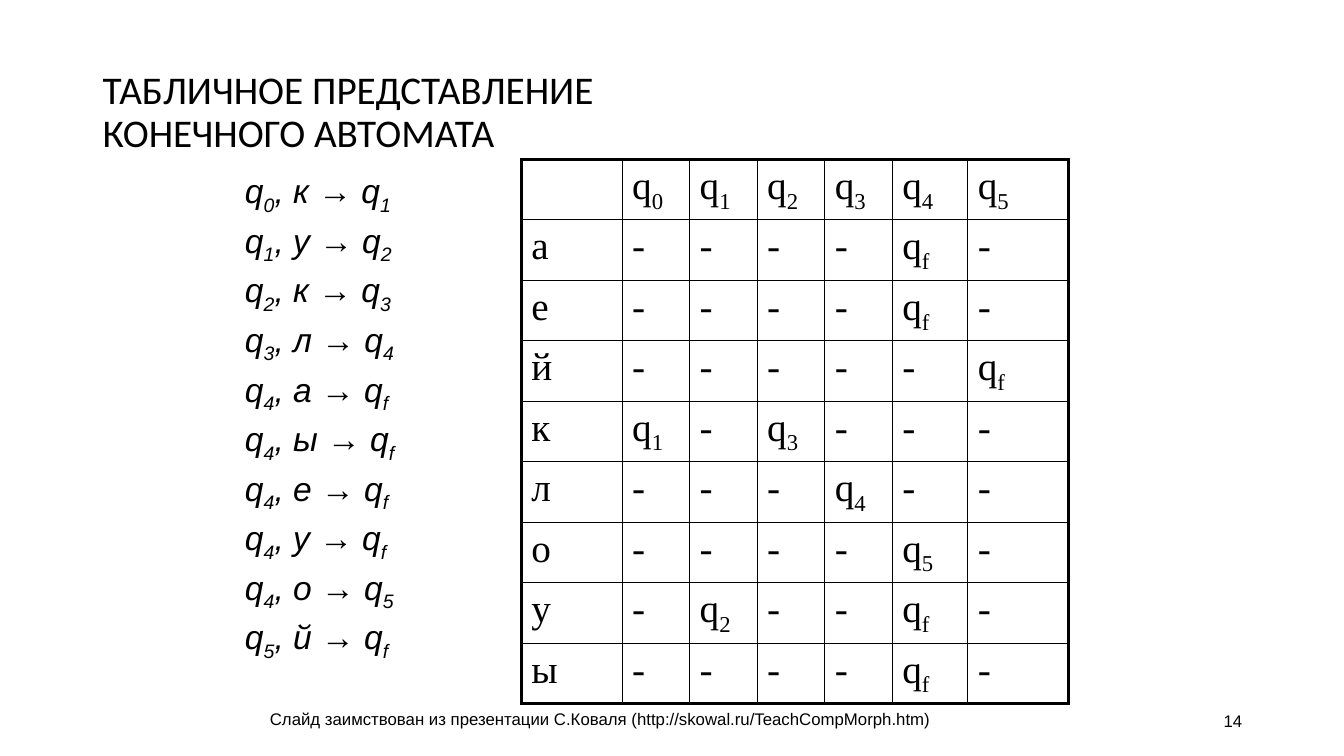
"""Slide with a finite automaton shown as transitions and as a table."""
from lxml import etree
from pptx import Presentation
from pptx.dml.color import RGBColor
from pptx.enum.text import MSO_ANCHOR, PP_ALIGN
from pptx.oxml.ns import qn
from pptx.util import Inches, Pt

LEFT, CENTER, RIGHT = PP_ALIGN.LEFT, PP_ALIGN.CENTER, PP_ALIGN.RIGHT
MIDDLE = MSO_ANCHOR.MIDDLE
BLACK = "000000"
THIN, THICK = 1, 2.25
TRANSITIONS = [
    ("0", "к", "1"), ("1", "у", "2"), ("2", "к", "3"), ("3", "л", "4"),
    ("4", "а", "f"), ("4", "ы", "f"), ("4", "е", "f"), ("4", "у", "f"),
    ("4", "о", "5"), ("5", "й", "f"),
]
STATES = "012345"
LETTERS = "аейклоуы"
COLUMN_WIDTHS = [1, 0.67, 0.67, 0.67, 0.67, 0.75, 1]
ROW_HEIGHT = 0.6


def color(value):
    """Return the colour of a hex string."""
    return RGBColor.from_string(value)


def format_run(run, font_name, size, italic=False):
    """Set the font of a run."""
    run.font.name = font_name
    run.font.size = Pt(size)
    run.font.italic = italic
    run.font.color.rgb = color(BLACK)


def add_text(slide, text, box, font_name, size, align=LEFT, line_spacing=1):
    """Add a wrapped text box, centred vertically."""
    shape = slide.shapes.add_textbox(*map(Inches, box))
    frame = shape.text_frame
    frame.text = text
    frame.word_wrap = True
    frame.vertical_anchor = MIDDLE
    paragraph = frame.paragraphs[0]
    paragraph.alignment = align
    paragraph.line_spacing = line_spacing
    for run in paragraph.runs:
        format_run(run, font_name, size)


def fill_paragraph(paragraph, text, font_name, size, italic=False):
    """Write text in which every second part between bars is a subscript."""
    for index, part in enumerate(text.split("|")):
        run = paragraph.add_run()
        run.text = part
        format_run(run, font_name, size, italic)
        if index % 2:
            run.font._element.set("baseline", "-25000")
    space = etree.SubElement(paragraph._p.get_or_add_pPr(), qn("a:spcBef"))
    etree.SubElement(space, qn("a:spcPct"), val="20000")


def set_borders(cell, widths):
    """Draw the left, right, top and bottom borders of a cell."""
    properties = cell._tc.get_or_add_tcPr()
    for index, (side, width) in enumerate(zip("LRTB", widths)):
        line = etree.Element(qn(f"a:ln{side}"), w=str(Pt(width)))
        fill = etree.SubElement(line, qn("a:solidFill"))
        etree.SubElement(fill, qn("a:srgbClr"), val=BLACK)
        properties.insert(index, line)


def add_plain_table(slide, left, top, widths, heights):
    """Add a table without banding, fill or bottom cell margins."""
    frame = slide.shapes.add_table(
        len(heights), len(widths), Inches(left), Inches(top),
        Inches(sum(widths)), Inches(sum(heights)))
    table = frame.table
    table.first_row = table.horz_banding = False
    for column, width in zip(table.columns, widths):
        column.width = Inches(width)
    for row, height in zip(table.rows, heights):
        row.height = Inches(height)
    for cell in table.iter_cells():
        cell.fill.background()
        cell.margin_bottom = Inches(0)
    return table


def add_state_table(slide):
    """Add the table of target states by letter and state."""
    targets = {(letter, state): f"q|{target}"
               for state, letter, target in TRANSITIONS}
    rows = [[""] + [f"q|{state}" for state in STATES]]
    for letter in LETTERS:
        rows.append([letter] + [targets.get((letter, state), "-")
                                for state in STATES])
    table = add_plain_table(slide, 5.17, 1.58, COLUMN_WIDTHS,
                            [ROW_HEIGHT] * len(rows))
    for row_index, row in enumerate(rows):
        for column_index, text in enumerate(row):
            cell = table.cell(row_index, column_index)
            fill_paragraph(cell.text_frame.paragraphs[0], text,
                           "Times New Roman", 28)
            outer = (column_index == 0, column_index == len(row) - 1,
                     row_index == 0, row_index == len(rows) - 1)
            set_borders(cell, [THICK if edge else THIN for edge in outer])


def add_transition_list(slide):
    """Add the one-cell table that lists the transitions."""
    table = add_plain_table(slide, 2.33, 1.67, [2.17], [5.37])
    frame = table.cell(0, 0).text_frame
    for index, (state, letter, target) in enumerate(TRANSITIONS):
        paragraph = frame.add_paragraph() if index else frame.paragraphs[0]
        fill_paragraph(paragraph, f"q|{state}|, {letter} → q|{target}",
                       "Arial", 24, italic=True)
        properties = paragraph._p.get_or_add_pPr()
        properties.set("marL", str(Inches(0.58)))
        properties.set("indent", str(Inches(-0.58)))


def main():
    """Build the slide and save it."""
    presentation = Presentation()
    presentation.slide_width = Inches(13.33)
    presentation.slide_height = Inches(7.5)
    slide = presentation.slides.add_slide(presentation.slide_layouts[6])
    add_text(slide, "ТАБЛИЧНОЕ ПРЕДСТАВЛЕНИЕ \vКОНЕЧНОГО АВТОМАТА",
             (0.92, 0.4, 11.5, 1.45), "Calibri", 28, line_spacing=0.9)
    add_state_table(slide)
    add_transition_list(slide)
    add_text(slide, "Слайд заимствован из презентации С.Коваля "
             "(http://skowal.ru/TeachCompMorph.htm)",
             (2.17, 6.87, 7.57, 0.52), "Arial", 12, CENTER)
    add_text(slide, "14", (9.42, 6.95, 3, 0.4), "Arial", 12, RIGHT)
    presentation.save("out.pptx")


if __name__ == "__main__":
    main()
